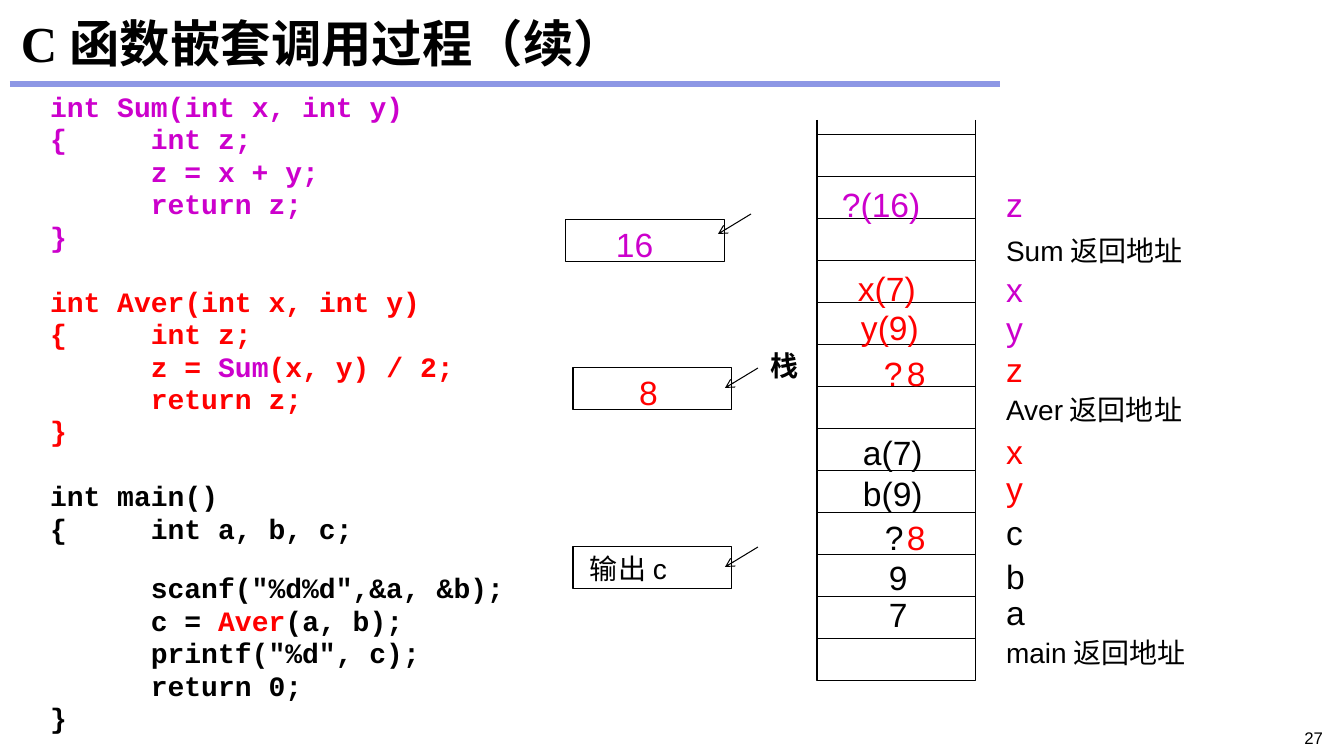
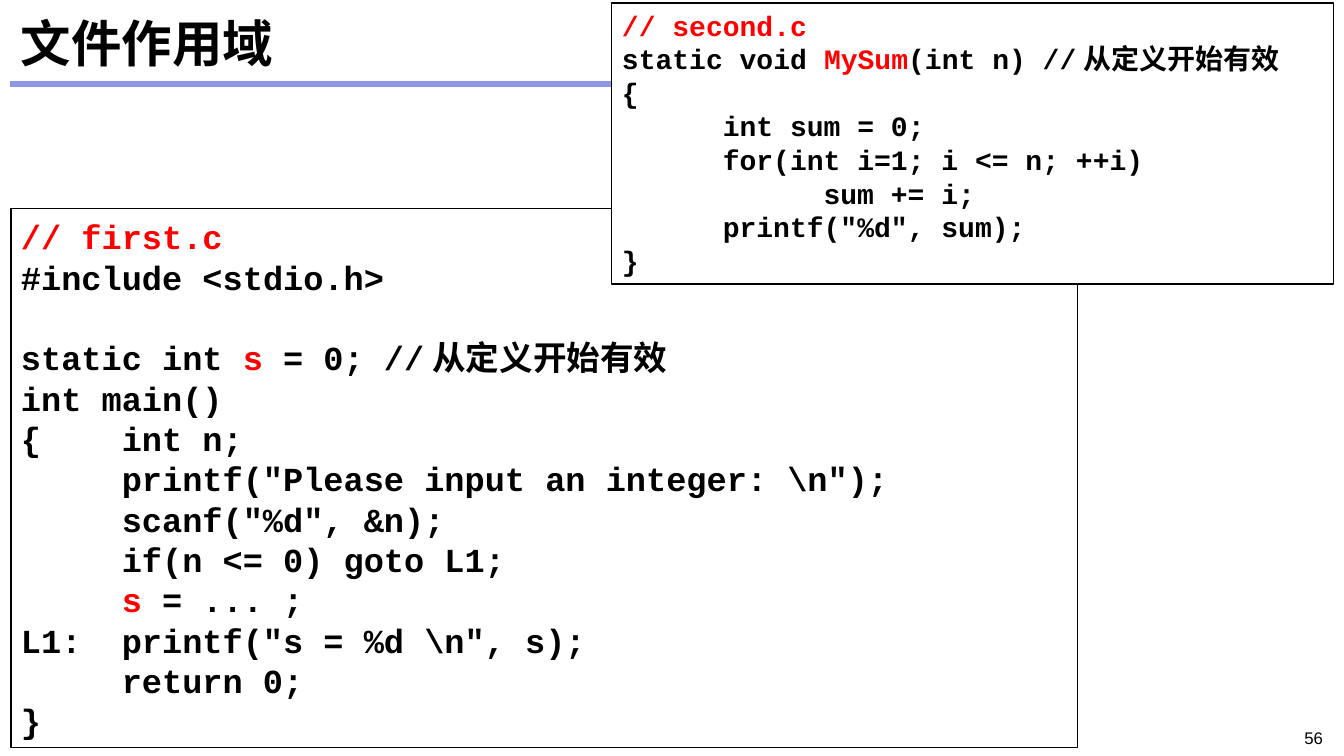
from lxml.etree import SubElement
from pptx import Presentation
from pptx.dml.color import RGBColor
from pptx.enum.shapes import MSO_CONNECTOR, MSO_SHAPE
from pptx.enum.text import MSO_ANCHOR as Anchor, PP_ALIGN as Align
from pptx.oxml.ns import qn
from pptx.util import Emu, Pt

COLORS = {"black": "000000", "white": "FFFFFF", "red": "FF0000",
          "purple": "CC00CC", "band": "8D97E5"}
SLIDE_WIDTH, SLIDE_HEIGHT = 1344, 756
EMU_PER_PX = 914400 / 100.8
INSETS = (10, 5, 10, 5)
CODE_FONT = "Courier New"

# Code blocks: space before in points, main colour, accent colour, lines.
# Text between asterisks takes the accent colour.
NESTED_CALLS = [
    (0, "purple", "purple", [
        "int Sum(int x, int y)",
        "{\tint z;",
        "\tz = x + y;",
        "\treturn z;",
        "}"]),
    (27.2, "red", "purple", [
        "int Aver(int x, int y)",
        "{\tint z;",
        "\tz = *Sum*(x, y) / 2;",
        "\treturn z;",
        "}"]),
    (27.2, "black", "red", [
        "int main()",
        "{\tint a, b, c;"]),
    (23.2, "black", "red", [
        '\tscanf("%d%d",&a, &b);',
        "\tc = *Aver*(a, b);",
        '\tprintf("%d", c);',
        "\treturn 0;",
        "}"]),
]
FIRST_FILE = [
    (0, "black", "red", [
        "*// first.c*",
        "#include <stdio.h>"]),
    (28.8, "black", "red", [
        "static int *s* = 0; //从定义开始有效",
        "int main()",
        "{\tint n;",
        '\tprintf("Please input an integer: \\n");',
        '\tscanf("%d", &n);',
        "\tif(n <= 0) goto L1;",
        "\t*s* = ... ;",
        'L1:\tprintf("s = %d \\n", s);',
        "\treturn 0;",
        "}"]),
]
SECOND_FILE = [
    (0, "black", "red", [
        "*// second.c*",
        "static void *MySum*(int n) //从定义开始有效",
        "{",
        "\tint sum = 0;",
        "\tfor(int i=1; i <= n; ++i)",
        "\t\tsum += i;",
        '\tprintf("%d", sum);',
        "}"]),
]

STACK_LEFT, STACK_TOP, STACK_ROWS = 817, 135, 13
CELL_WIDTH, CELL_HEIGHT = 159, 42
# Text, left, top, colour
STACK_VALUES = [
    ("?(16)", 832, 179, "purple"), ("x(7)", 848, 263, "red"),
    ("y(9)", 851, 302, "red"), ("?", 874, 348, "red"), ("8", 897, 348, "red"),
    ("a(7)", 853, 427, "black"), ("b(9)", 853, 468, "black"),
    ("?", 875, 512, "black"), ("8", 897, 512, "red"),
    ("9", 879, 552, "black"), ("7", 879, 589, "black"),
]
# Text, top, colour, size
STACK_LABELS = [
    ("z", 179, "purple", 24), ("Sum返回地址", 229, "black", 20),
    ("x", 264, "purple", 24), ("y", 303, "purple", 24), ("z", 344, "red", 24),
    ("Aver返回地址", 388, "black", 20),
    ("x", 426, "red", 24), ("y", 463, "red", 24),
    ("c", 507, "black", 24), ("b", 551, "black", 24), ("a", 587, "black", 24),
    ("main返回地址", 631, "black", 20),
]
# Text, left, top, arrow top, text indent, colour, size
RESULTS = [
    ("16", 566, 220, 214, 50, "purple", 24),
    ("8", 573, 368, 368, 66, "red", 24),
    ("输出c", 573, 547, 547, 17, "black", 20),
]


def px(length):
    return Emu(round(length * EMU_PER_PX))


def color(name):
    return RGBColor.from_string(COLORS[name])


def set_frame(shape, insets=INSETS, anchor=Anchor.TOP):
    frame = shape.text_frame
    frame.word_wrap = True
    frame.vertical_anchor = anchor
    (frame.margin_left, frame.margin_top,
     frame.margin_right, frame.margin_bottom) = map(px, insets)
    return frame


def set_font(paragraph, size, name, bold=False, font_color=None):
    font = paragraph.font
    font.size, font.name, font.bold = Pt(size), name, bold
    if font_color:
        font.color.rgb = color(font_color)


def write(shape, text, size, font_color="black", name="Arial", bold=False,
          align=Align.LEFT, insets=INSETS, anchor=Anchor.TOP):
    paragraph = set_frame(shape, insets, anchor).paragraphs[0]
    paragraph.text = text
    paragraph.alignment = align
    set_font(paragraph, size, name, bold, font_color)


def add_box(slide, left, top, width, height):
    return slide.shapes.add_textbox(px(left), px(top), px(width), px(height))


def add_rectangle(slide, left, top, width, height, fill=None):
    shape = slide.shapes.add_shape(
        MSO_SHAPE.RECTANGLE, px(left), px(top), px(width), px(height))
    shape.shadow.inherit = False
    if fill:
        shape.fill.solid()
        shape.fill.fore_color.rgb = color(fill)
    else:
        shape.fill.background()
    shape.line.color.rgb = color("black")
    shape.line.width = Pt(0.75)
    return shape


def add_line(slide, start, end, line_color="black", width=0.75, arrow=False):
    connector = slide.shapes.add_connector(
        MSO_CONNECTOR.STRAIGHT, *map(px, start + end))
    connector.line.color.rgb = color(line_color)
    connector.line.width = Pt(width)
    if arrow:
        SubElement(connector.line._get_or_add_ln(), qn("a:tailEnd"), type="arrow")
    SubElement(connector._element.spPr, qn("a:effectLst"))


def add_tab_stops(paragraph):
    tabs = SubElement(paragraph._p.get_or_add_pPr(), qn("a:tabLst"))
    for inch in (1, 2):
        SubElement(tabs, qn("a:tab"), pos=str(inch * 914400), algn="l")


def write_code(frame, blocks, size, line_height, line_gap=0):
    paragraph = None
    for block_gap, main_color, accent_color, lines in blocks:
        for index, line in enumerate(lines):
            paragraph = frame.add_paragraph() if paragraph else frame.paragraphs[0]
            paragraph.alignment = Align.LEFT
            paragraph.line_spacing = Pt(line_height)
            paragraph.space_before = Pt(line_gap if index else block_gap)
            add_tab_stops(paragraph)
            set_font(paragraph, size, CODE_FONT, bold=True)
            for part, text in enumerate(line.split("*")):
                if text:
                    run = paragraph.add_run()
                    run.text = text
                    run.font.color.rgb = color(accent_color if part % 2 else main_color)


def add_base_slide(presentation, title, number):
    """Add a blank slide with the shared band, title and page number."""
    slide = presentation.slides.add_slide(presentation.slide_layouts[6])
    add_line(slide, (10, 84), (1000, 84), "band", 4.5)
    write(add_box(slide, 11, 8, 1322, 68), title, 36, name="Times New Roman",
          bold=True, anchor=Anchor.MIDDLE)
    write(add_box(slide, 1201, 723, 132, 25), str(number), 12, align=Align.RIGHT)
    return slide


def draw_stack(slide):
    for row in range(STACK_ROWS):
        add_rectangle(slide, STACK_LEFT, STACK_TOP + row * CELL_HEIGHT,
                      CELL_WIDTH, CELL_HEIGHT)
    for left in (STACK_LEFT, STACK_LEFT + CELL_WIDTH):
        add_line(slide, (left, STACK_TOP - 15), (left, STACK_TOP))
    write(add_box(slide, 771, 348, 34, 34), "栈", 20, name="Noto Sans CJK SC",
          bold=True, insets=(0, 0, 0, 0))
    for text, left, top, font_color in STACK_VALUES:
        write(add_box(slide, left, top, 127, 50), text, 24, font_color)
    for text, top, font_color, size in STACK_LABELS:
        write(add_box(slide, 996, top, 278, 50), text, size, font_color)


def draw_results(slide):
    for text, left, top, arrow_top, indent, font_color, size in RESULTS:
        box = add_rectangle(slide, left, top, CELL_WIDTH, CELL_HEIGHT)
        write(box, text, size, font_color, insets=(indent, 4, 0, 0))
        add_line(slide, (left + 185, arrow_top), (left + 152, arrow_top + 20),
                 arrow=True)


def build_call_slide(presentation):
    slide = add_base_slide(presentation, "C函数嵌套调用过程（续）", 27)
    code = set_frame(add_box(slide, 50, 96, 500, 652), insets=(0, 0, 0, 0))
    write_code(code, NESTED_CALLS, 20, line_height=19.2, line_gap=4)
    draw_stack(slide)
    draw_results(slide)


def build_scope_slide(presentation):
    slide = add_base_slide(presentation, "文件作用域", 56)
    first = add_rectangle(slide, 11, 209, 1067, 539)
    write_code(set_frame(first, anchor=Anchor.MIDDLE), FIRST_FILE, 24, line_height=28.8)
    second = add_rectangle(slide, 612, 3, 722, 281, fill="white")
    write_code(set_frame(second), SECOND_FILE, 20, line_height=24)


def main():
    presentation = Presentation()
    presentation.slide_width, presentation.slide_height = px(SLIDE_WIDTH), px(SLIDE_HEIGHT)
    build_call_slide(presentation)
    build_scope_slide(presentation)
    presentation.save("out.pptx")


if __name__ == "__main__":
    main()
